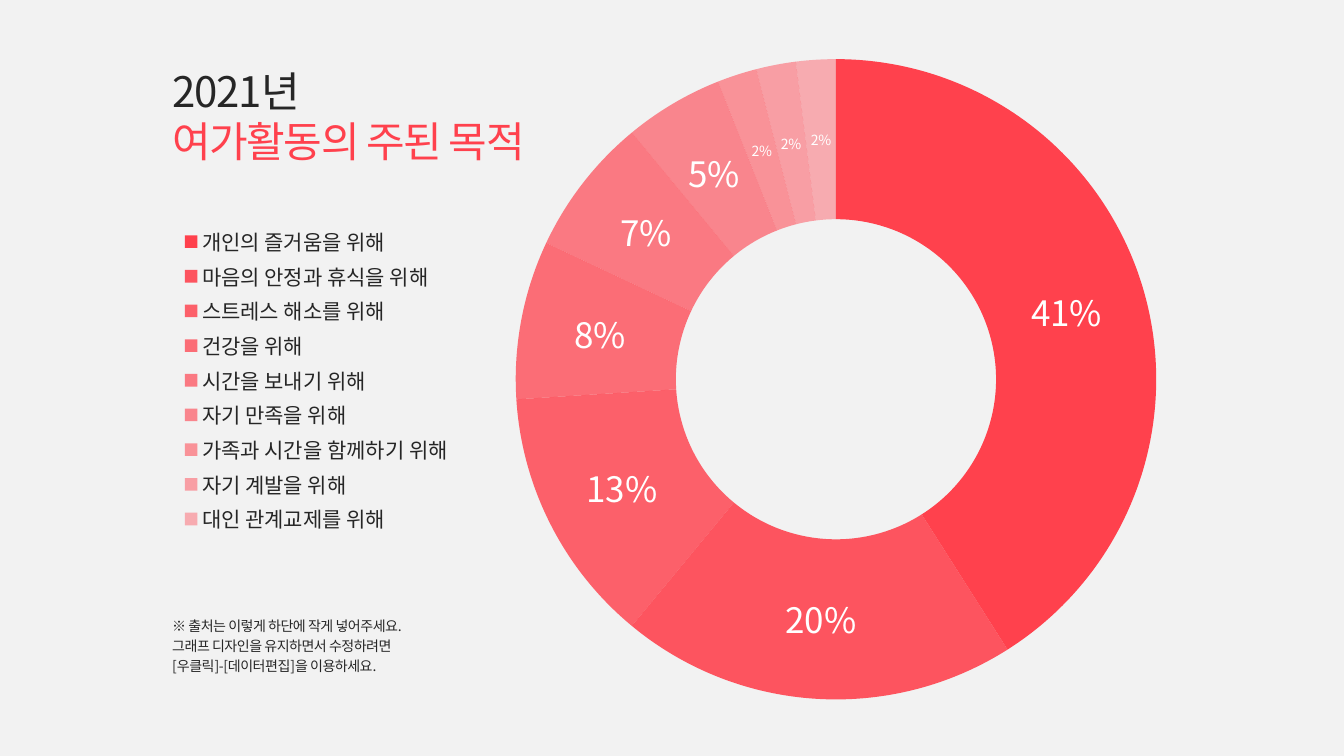
from dataclasses import dataclass

from lxml.etree import SubElement
from pptx import Presentation
from pptx.chart.data import CategoryChartData
from pptx.dml.color import RGBColor
from pptx.enum.chart import XL_CHART_TYPE, XL_LEGEND_POSITION
from pptx.oxml import parse_xml
from pptx.oxml.ns import nsdecls, qn
from pptx.util import Inches, Pt


@dataclass(frozen=True)
class Theme:
    font: str = "Noto Sans CJK KR"
    background: str = "F2F2F2"
    ink: str = "262626"
    accent: str = "FF414D"
    label: str = "FFFFFF"
    title_size: int = 30
    share_size: int = 25
    legend_size: int = 15
    small_size: int = 10


PURPOSES = [
    ("개인의 즐거움을 위해", 0.41),
    ("마음의 안정과 휴식을 위해", 0.20),
    ("스트레스 해소를 위해", 0.13),
    ("건강을 위해", 0.08),
    ("시간을 보내기 위해", 0.07),
    ("자기 만족을 위해", 0.05),
    ("가족과 시간을 함께하기 위해", 0.02),
    ("자기 계발을 위해", 0.02),
    ("대인 관계교제를 위해", 0.02),
]
SMALL_SHARE = 0.02


def manual_layout(x, y, w, h, inner=False):
    """Return a c:layout placed by fractions of the chart's size."""
    target = '<c:layoutTarget val="inner"/>' if inner else ""
    return parse_xml(
        f'<c:layout {nsdecls("c")}><c:manualLayout>{target}'
        '<c:xMode val="edge"/><c:yMode val="edge"/>'
        f'<c:x val="{x}"/><c:y val="{y}"/><c:w val="{w}"/><c:h val="{h}"/>'
        "</c:manualLayout></c:layout>"
    )


class SlideBuilder:
    def __init__(self, slide, theme):
        self.slide = slide
        self.theme = theme
        fill = slide.background.fill
        fill.solid()
        fill.fore_color.rgb = RGBColor.from_string(theme.background)

    def style_font(self, font, size, color):
        """Set size, colour and typeface, for Latin and Korean letters alike."""
        font.size = Pt(size)
        font.bold = False
        font.color.rgb = RGBColor.from_string(color)
        font.name = self.theme.font
        SubElement(font._rPr, qn("a:ea")).set("typeface", self.theme.font)

    def text(self, box, lines, size, tracking, line_spacing=None):
        """Add a text box; lines are (wording, colour), tracking is in points."""
        frame = self.slide.shapes.add_textbox(*map(Inches, box)).text_frame
        frame.word_wrap = False
        for index, (wording, color) in enumerate(lines):
            paragraph = frame.add_paragraph() if index else frame.paragraphs[0]
            paragraph.line_spacing = line_spacing
            run = paragraph.add_run()
            run.text = wording
            self.style_font(run.font, size, color)
            run.font._rPr.set("spc", str(round(tracking * 100)))

    def doughnut(self, box, shares):
        theme = self.theme
        data = CategoryChartData(number_format="0%")
        data.categories = [purpose for purpose, _ in shares]
        data.add_series("Series 1", [share for _, share in shares])
        chart = self.slide.shapes.add_chart(
            XL_CHART_TYPE.DOUGHNUT, *map(Inches, box), data
        ).chart
        chart.has_title = False
        self.style_font(chart.font, theme.small_size, theme.ink)

        plot_area = chart._chartSpace.chart.plotArea
        for layout in plot_area.findall(qn("c:layout")):
            plot_area.remove(layout)
        plot_area.insert(0, manual_layout(0.33, 0.028, 0.595, 0.951, inner=True))

        self.legend(chart)
        chart.plots[0].vary_by_categories = True
        self.slices(chart.plots[0].series[0], shares)

    def legend(self, chart):
        chart.has_legend = True
        legend = chart.legend
        legend.position = XL_LEGEND_POSITION.LEFT
        legend.include_in_layout = False
        self.style_font(legend.font, self.theme.legend_size, self.theme.ink)
        for layout in legend._element.findall(qn("c:layout")):
            legend._element.remove(layout)
        legend._element.find(qn("c:legendPos")).addnext(
            manual_layout(0.01, 0.27, 0.27, 0.47)
        )

    def slices(self, series, shares):
        """Colour the slices, each 7 % fainter after the second, and label them."""
        theme = self.theme
        labels = series.data_labels
        labels.show_value = True
        labels.show_percentage = False
        labels.number_format = "0%"
        labels.number_format_is_linked = False
        self.style_font(labels.font, theme.share_size, theme.label)
        for index, (_, share) in enumerate(shares):
            point = series.points[index]
            fill = point.format.fill
            fill.solid()
            fill.fore_color.rgb = RGBColor.from_string(theme.accent)
            point.format.line.fill.background()
            if share <= SMALL_SHARE:
                self.style_font(point.data_label.font, theme.small_size, theme.label)
        colors = series._element.xpath("c:dPt/c:spPr/a:solidFill/a:srgbClr")
        for index, color in enumerate(colors[1:]):
            opacity = 89 - 7 * index
            SubElement(color, qn("a:alpha")).set("val", str(opacity * 1000))


def main():
    theme = Theme()
    deck = Presentation()
    deck.slide_width, deck.slide_height = Inches(13.33), Inches(7.5)
    builder = SlideBuilder(deck.slides.add_slide(deck.slide_layouts[6]), theme)

    builder.doughnut((1.59, 0.4, 10.68, 6.68), PURPOSES)
    builder.text(
        (1.61, 0.6, 4.14, 1.08),
        [("2021년", theme.ink), ("여가활동의 주된 목적", theme.accent)],
        theme.title_size,
        tracking=-1,
    )
    source_note = [
        "※ 출처는 이렇게 하단에 작게 넣어주세요.",
        "그래프 디자인을 유지하면서 수정하려면",
        "[우클릭]-[데이터편집]을 이용하세요.",
    ]
    builder.text(
        (1.61, 6.04, 3.38, 0.67),
        [(line, theme.ink) for line in source_note],
        theme.small_size,
        tracking=-0.3,
        line_spacing=1.2,
    )
    deck.save("out.pptx")


if __name__ == "__main__":
    main()
